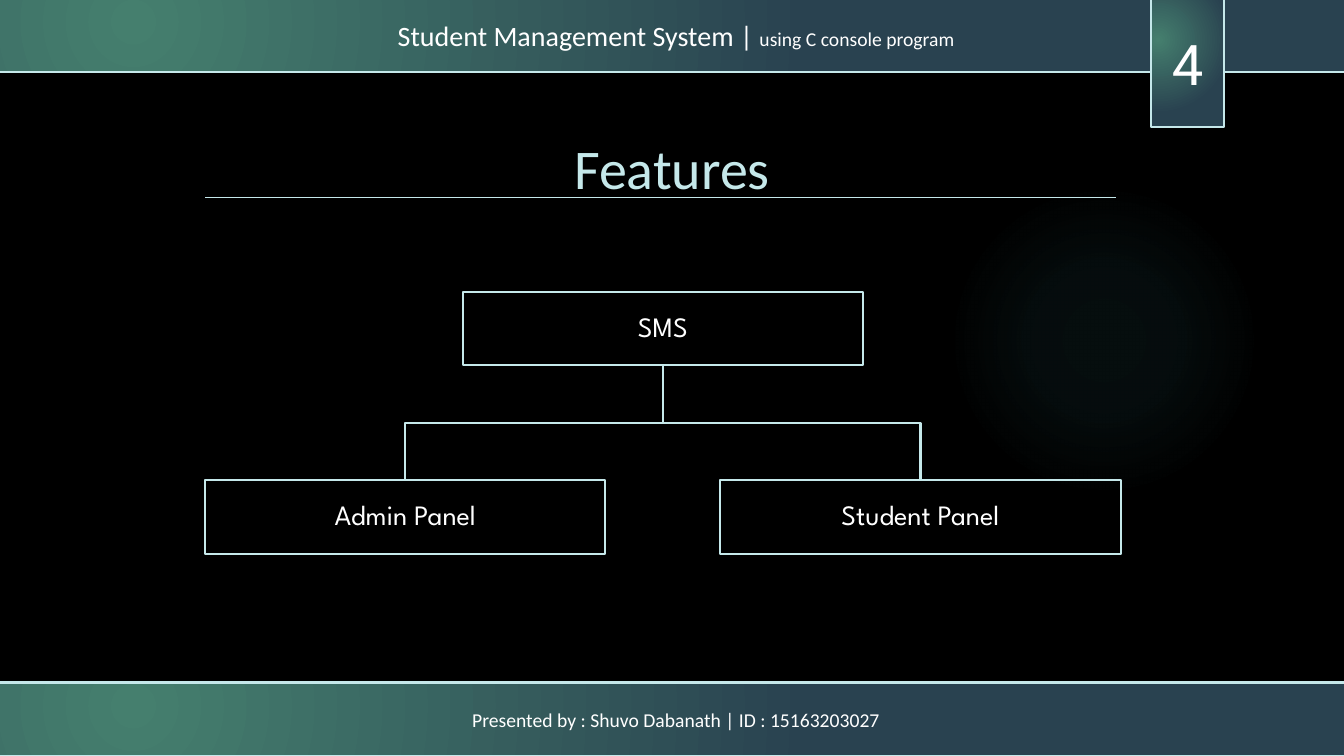
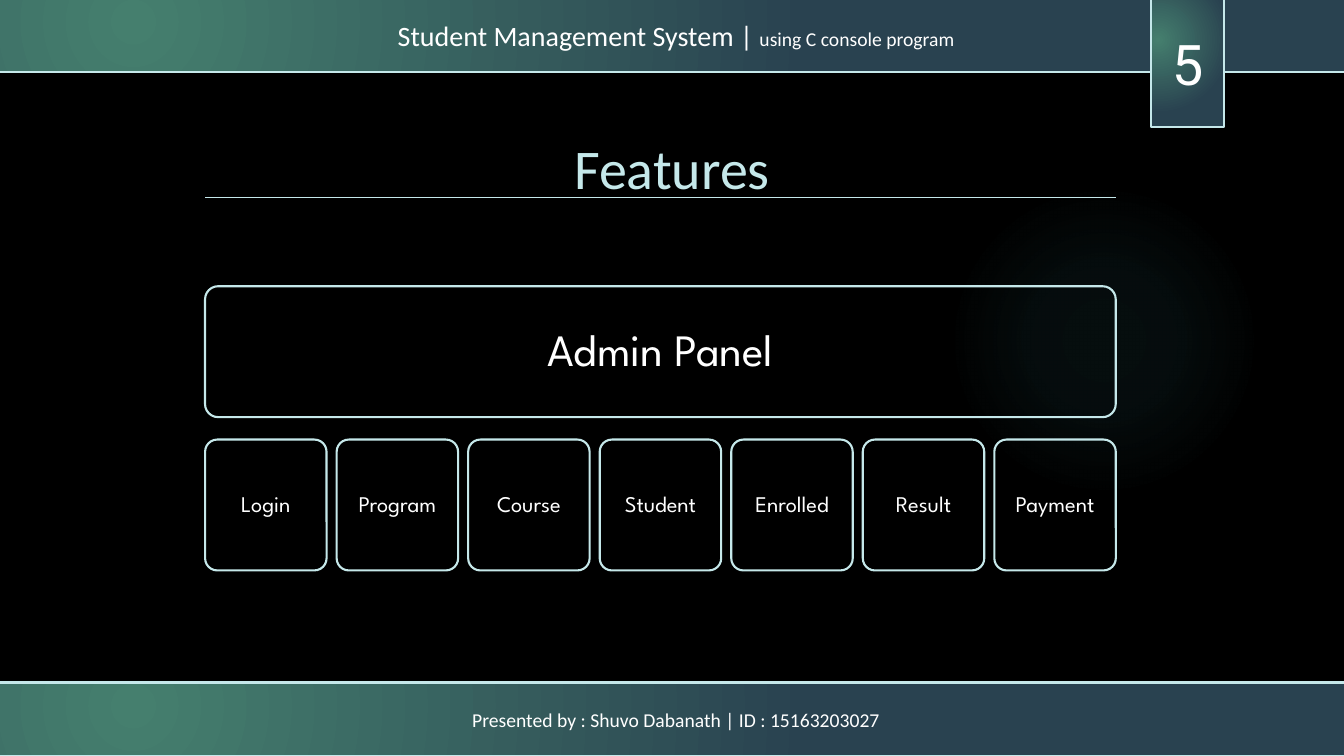
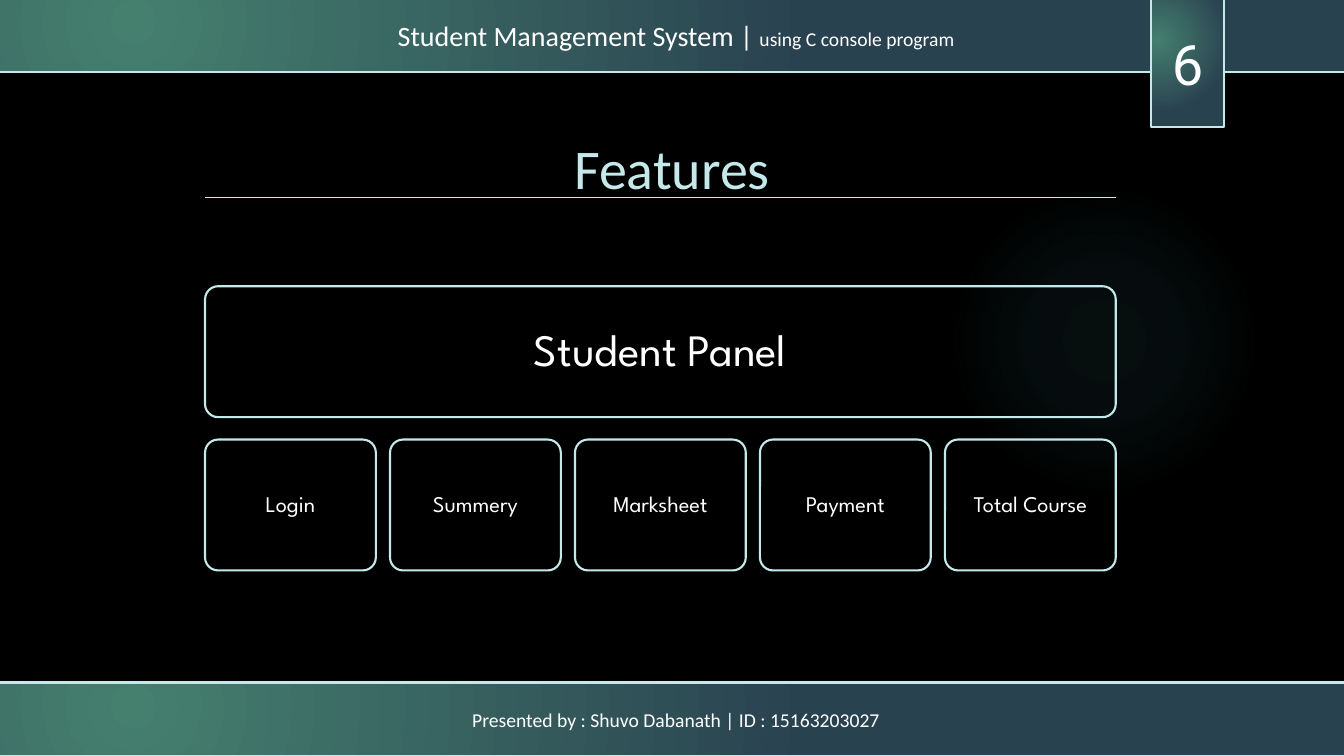
import pptx
import pptx.util
import pptx.dml.color
import pptx.enum.shapes
import pptx.enum.text
import pptx.oxml
import pptx.oxml.ns

Pt = pptx.util.Pt
SHAPE = pptx.enum.shapes.MSO_SHAPE
CENTER = pptx.enum.text.PP_ALIGN.CENTER
MIDDLE = pptx.enum.text.MSO_ANCHOR.MIDDLE

COLORS = {
    "background": "000000",
    "band_green": "457F6E",
    "band_blue": "294250",
    "outline": "C5E8EA",
    "text": "FFFFFF",
    "glow": "50B9C1",
}
BODY_FONT, NUMBER_FONT, DIAGRAM_FONT = "Calibri", "Roboto", "League Spartan"
WIDTH, HEIGHT = 960, 540
LEFT, RIGHT = 146.5, 797

# Gradient stops: position, colour, opacity (all positions in percent)
BAND_STOPS = [(0, "band_green", 100), (100, "band_blue", 100)]
GLOW_STOPS = [(0, "glow", 7), (36, "glow", 6), (69, "glow", 0)]


def rgb(name):
    return pptx.dml.color.RGBColor.from_string(COLORS[name])


class Deck:
    """Holds the style and the current slide."""

    def __init__(self):
        self.prs = pptx.Presentation()
        self.prs.slide_width, self.prs.slide_height = Pt(WIDTH), Pt(HEIGHT)
        self.slide = None

    def shape(self, kind, left, top, width, height, outlined=True):
        shape = self.slide.shapes.add_shape(kind, Pt(left), Pt(top), Pt(width), Pt(height))
        shape.shadow.inherit = False
        shape.fill.background()
        if outlined:
            self.outline(shape.line)
        else:
            shape.line.fill.background()
        return shape

    def outline(self, line, weight=1.5):
        line.color.rgb = rgb("outline")
        line.width = Pt(weight)

    def gradient(self, shape, stops, focus):
        """Replace the empty fill by a circular gradient."""
        gs = "".join(
            f'<a:gs pos="{pos * 1000}"><a:srgbClr val="{COLORS[name]}">'
            f'<a:alpha val="{opacity * 1000}"/></a:srgbClr></a:gs>'
            for pos, name, opacity in stops)
        sides = " ".join(f'{side}="{value * 1000}"' for side, value in zip("ltrb", focus))
        fill = pptx.oxml.parse_xml(
            f'<a:gradFill {pptx.oxml.ns.nsdecls("a")} rotWithShape="1"><a:gsLst>{gs}</a:gsLst>'
            f'<a:path path="circle"><a:fillToRect {sides}/></a:path></a:gradFill>')
        properties = shape._element.spPr
        properties.replace(properties.find(pptx.oxml.ns.qn("a:noFill")), fill)

    def label(self, shape, runs, font, color="text", spacing=None):
        """Set one centred paragraph from (text, size) pairs."""
        paragraph = shape.text_frame.paragraphs[0]
        paragraph.alignment = CENTER
        if spacing:
            paragraph.line_spacing = spacing
        for text, size in runs:
            run = paragraph.add_run()
            run.text = text
            run.font.name, run.font.size = font, Pt(size)
            run.font.color.rgb = rgb(color)

    def band(self, left, top, width, height, runs, font=BODY_FONT):
        band = self.shape(SHAPE.RECTANGLE, left, top, width, height)
        self.gradient(band, BAND_STOPS, (45, 65, 125, 100))
        band.text_frame.vertical_anchor = MIDDLE
        self.label(band, runs, font)

    def title(self, text):
        title = self.slide.shapes.add_textbox(Pt(0), Pt(92), Pt(WIDTH), Pt(55.5))
        title.text_frame.word_wrap = True
        title.text_frame.auto_size = pptx.enum.text.MSO_AUTO_SIZE.SHAPE_TO_FIT_TEXT
        self.label(title, [(text, 40)], BODY_FONT, "outline")
        rule = self.slide.shapes.add_connector(
            pptx.enum.shapes.MSO_CONNECTOR.STRAIGHT, Pt(LEFT), Pt(141), Pt(RIGHT), Pt(141))
        self.outline(rule.line, 0.75)
        rule._element.spPr.append(
            pptx.oxml.parse_xml(f'<a:effectLst {pptx.oxml.ns.nsdecls("a")}/>'))

    def box(self, text, left, top, width, height, size, rounded=False):
        box = self.shape(SHAPE.ROUNDED_RECTANGLE if rounded else SHAPE.RECTANGLE,
                         left, top, width, height)
        if rounded:
            box.adjustments[0] = 0.1
        frame = box.text_frame
        frame.word_wrap, frame.vertical_anchor = True, MIDDLE
        frame.margin_left = frame.margin_right = Pt(3)
        frame.margin_top = frame.margin_bottom = Pt(1)
        self.label(box, [(text, size)], DIAGRAM_FONT, spacing=0.9)

    def branch(self, points):
        (start_x, start_y), *rest = [(Pt(x), Pt(y)) for x, y in points]
        builder = self.slide.shapes.build_freeform(start_x, start_y)
        builder.add_line_segments(rest, close=False)
        branch = builder.convert_to_shape()
        branch.shadow.inherit = False
        branch.fill.background()
        self.outline(branch.line)

    def start_slide(self, number, title):
        self.slide = self.prs.slides.add_slide(self.prs.slide_layouts[6])
        self.slide.background.fill.solid()
        self.slide.background.fill.fore_color.rgb = rgb("background")
        glow = self.shape(SHAPE.OVAL, 677.5, 132, 222, 222, outlined=False)
        self.gradient(glow, GLOW_STOPS, (50, 50, 50, 50))
        # Header, footer and number tab
        self.band(-1.5, -1, 969, 52.5, [("Student Management System | ", 20),
                                        ("using C console program", 14)])
        self.band(-1.5, 487.5, 969, 52.5,
                  [("Presented by : Shuvo Dabanath | ID : 15163203027", 14)])
        self.band(822, -1, 52.5, 92, [(str(number), 40)], NUMBER_FONT)
        self.title(title)

    def tree(self, root, children):
        """Root box above a row of child boxes."""
        width, height, root_top, child_top = 286, 52.5, 208.5, 343
        step = 368
        middle = LEFT + ((len(children) - 1) * step + width) / 2
        root_bottom = root_top + height
        bend = (root_bottom + child_top) / 2
        lefts = [LEFT + i * step for i in range(len(children))]
        for left in lefts:
            x = left + width / 2
            self.branch([(middle, root_bottom), (middle, bend), (x, bend), (x, child_top)])
        self.box(root, middle - width / 2, root_top, width, height, 20)
        for child, left in zip(children, lefts):
            self.box(child, left, child_top, width, height, 20)

    def panel(self, heading, functions):
        """Wide heading above equal tiles; each gap is a share of the tile width."""
        height, gap_share = 93.5, 0.083
        count = len(functions)
        tile = (RIGHT - LEFT) / (count + (count - 1) * gap_share)
        self.box(heading, LEFT, 204.5, RIGHT - LEFT, height, 32, rounded=True)
        for i, function in enumerate(functions):
            self.box(function, LEFT + i * tile * (1 + gap_share), 314, tile, height, 16,
                     rounded=True)


def main():
    deck = Deck()

    # Overview of both panels
    deck.start_slide(4, "Features")
    deck.tree("SMS", ["Admin Panel", "Student Panel"])

    # Functions of each panel
    panels = [
        ("Admin Panel",
         ["Login", "Program", "Course", "Student", "Enrolled", "Result", "Payment"]),
        ("Student Panel", ["Login", "Summery", "Marksheet", "Payment", "Total Course"]),
    ]
    for number, (heading, functions) in enumerate(panels, start=5):
        deck.start_slide(number, "Features")
        deck.panel(heading, functions)

    deck.prs.save("out.pptx")


if __name__ == "__main__":
    main()
